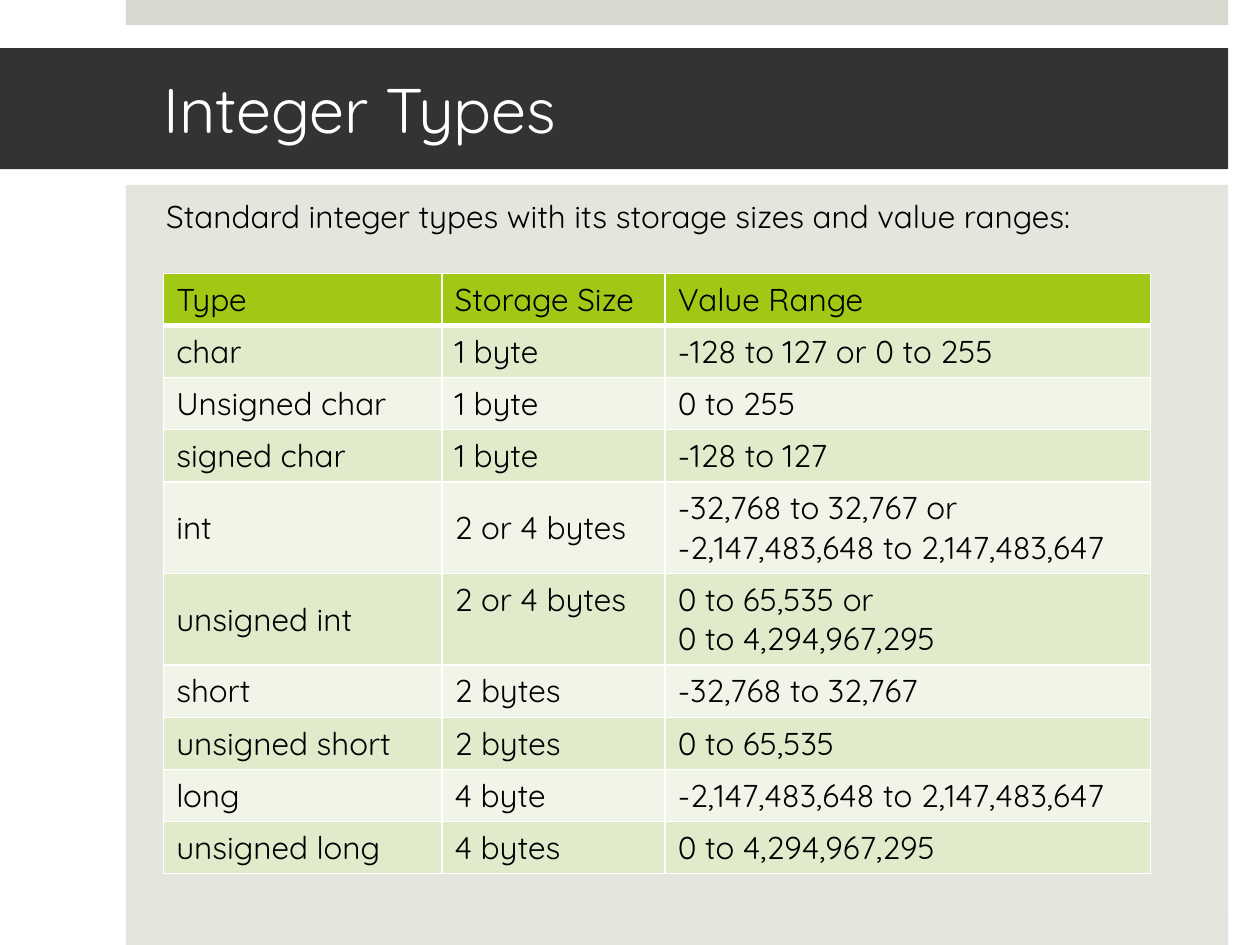
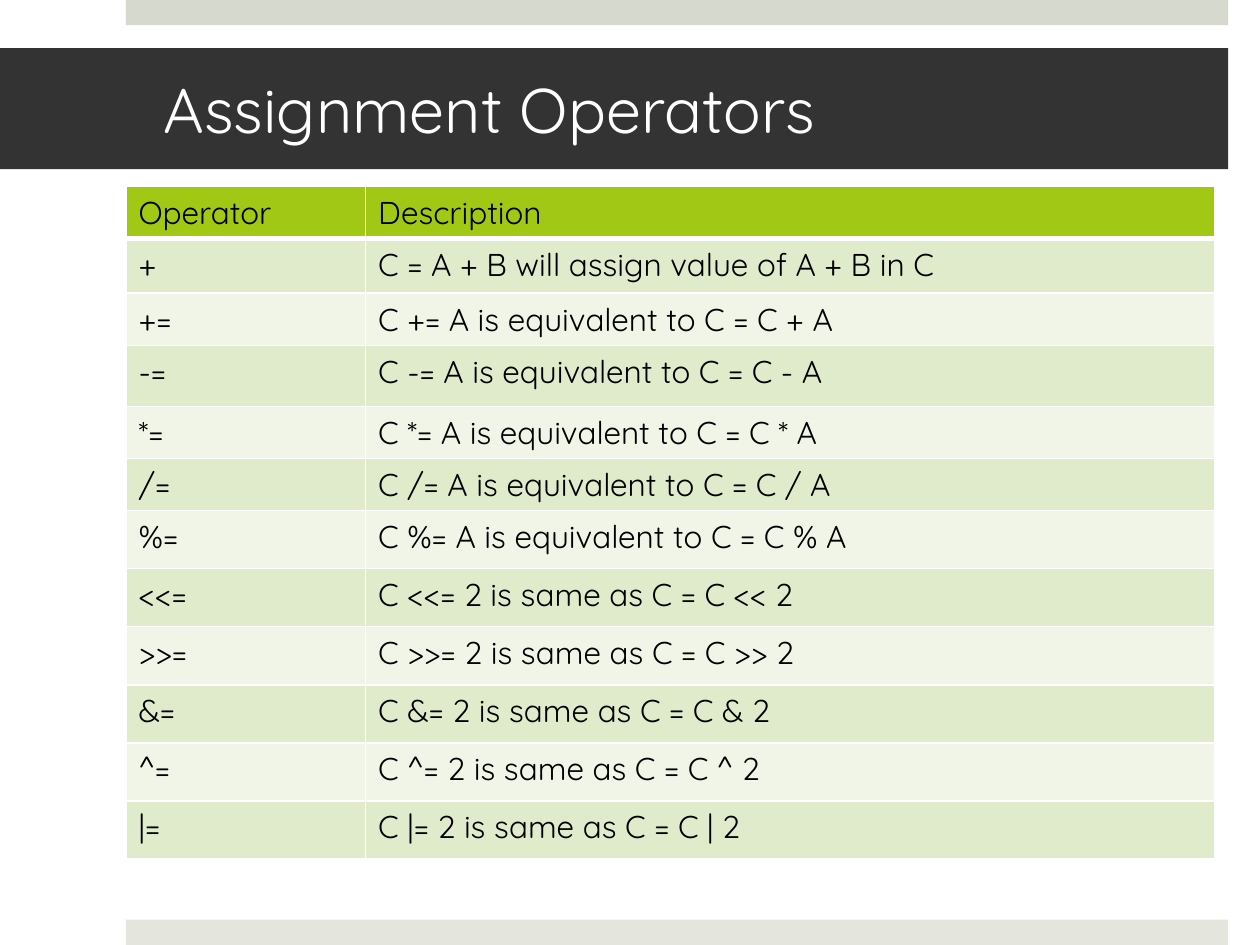
from dataclasses import dataclass

from lxml import etree
from pptx import Presentation
from pptx import util as u
from pptx.dml.color import RGBColor
from pptx.enum import shapes, text
from pptx.oxml import ns
from pptx.util import Cm, Pt

FONT = "Quicksand"
COLORS = {
    "top_band": "D6D9CD",
    "panel": "E4E6DE",
    "title_band": "333333",
    "header": "A2C816",
    "odd_row": "E0EBCC",
    "even_row": "F0F5E8",
    "white": "FFFFFF",
    "black": "000000",
}


@dataclass(frozen=True)
class Box:
    """A rectangle measured in centimetres."""
    left: float
    top: float
    width: float
    height: float

    def lengths(self) -> tuple[u.Length, ...]:
        return Cm(self.left), Cm(self.top), Cm(self.width), Cm(self.height)


@dataclass(frozen=True)
class TableData:
    left: float
    top: float
    column_widths: list[float]
    row_heights: list[float]
    rows: list[tuple[str, ...]]


SLIDE_WIDTH, SLIDE_HEIGHT = 25.4, 19.05
TOP_BAND = Box(2.54, 0, 22.22, 0.51)
BOTTOM_BAND = Box(2.54, 18.54, 22.22, 0.51)
TITLE_BAND = Box(0, 0.97, 24.76, 2.44)
INTRO_PANEL = Box(2.54, 3.73, 22.22, 15.32)

LINE_ROW, DOUBLE_ROW, TALL_ROW = 1.05, 1.84, 1.17

INTEGER_TYPES = TableData(
    3.3, 5.51, [5.61, 4.5, 9.78],
    [LINE_ROW] * 4 + [DOUBLE_ROW] * 2 + [LINE_ROW] * 4,
    [
        ("Type", "Storage Size", "Value Range"),
        ("char", "1 byte", "-128 to 127 or 0 to 255"),
        ("Unsigned char", "1 byte", "0 to 255"),
        ("signed char", "1 byte", "-128 to 127"),
        ("int", "2 or 4 bytes", "-32,768 to 32,767 or -2,147,483,648 to 2,147,483,647"),
        ("unsigned int", "2 or 4 bytes", "0 to 65,535 or\n0 to 4,294,967,295"),
        ("short", "2 bytes", "-32,768 to 32,767"),
        ("unsigned short", "2 bytes", "0 to 65,535"),
        ("long", "4 byte", "-2,147,483,648 to 2,147,483,647"),
        ("unsigned long", "4 bytes", "0 to 4,294,967,295"),
    ],
)
UNSIGNED_INT_SIZE = (5, 1)

ASSIGNMENT_OPERATORS = TableData(
    2.54, 3.76, [4.83, 17.12],
    [LINE_ROW, 1.1, LINE_ROW, 1.23, LINE_ROW, LINE_ROW] + [TALL_ROW] * 6,
    [("Operator", "Description"), ("+", "C = A + B will assign value of A + B in C")]
    + [(f"{sign}=", f"C {sign}= A is equivalent to C = C {sign} A") for sign in "+-*/%"]
    + [(f"{sign}=", f"C {sign}= 2 is same as C = C {sign} 2")
       for sign in ("<<", ">>", "&", "^", "|")],
)


def color(name: str) -> RGBColor:
    return RGBColor.from_string(COLORS[name])


def format_text(frame, size: int, color_name: str) -> None:
    for paragraph in frame.paragraphs:
        paragraph.alignment = text.PP_ALIGN.LEFT
        font = paragraph.font
        font.name, font.size, font.bold = FONT, Pt(size), False
        font.color.rgb = color(color_name)


def set_insets(frame, left: float, right: float, vertical: float) -> None:
    frame.margin_left, frame.margin_right = Cm(left), Cm(right)
    frame.margin_top = frame.margin_bottom = Cm(vertical)
    frame.word_wrap = True
    frame.auto_size = text.MSO_AUTO_SIZE.NONE


def add_band(slide, box: Box, color_name: str):
    band = slide.shapes.add_shape(shapes.MSO_SHAPE.RECTANGLE, *box.lengths())
    band.shadow.inherit = False
    band.fill.solid()
    band.fill.fore_color.rgb = color(color_name)
    band.line.fill.background()
    return band


def add_titled_slide(presentation, title_text: str):
    slide = presentation.slides.add_slide(presentation.slide_layouts[5])
    add_band(slide, TOP_BAND, "top_band")
    add_band(slide, BOTTOM_BAND, "panel")
    title = slide.shapes.title
    title.left, title.top, title.width, title.height = TITLE_BAND.lengths()
    title.fill.solid()
    title.fill.fore_color.rgb = color("title_band")
    frame = title.text_frame
    frame.text = title_text
    frame.vertical_anchor = text.MSO_ANCHOR.MIDDLE
    set_insets(frame, 3.3, 0.76, 0.13)
    format_text(frame, 36, "white")
    return slide


def add_intro(slide, intro_text: str) -> None:
    frame = add_band(slide, INTRO_PANEL, "panel").text_frame
    frame.text = intro_text
    frame.vertical_anchor = text.MSO_ANCHOR.TOP
    set_insets(frame, 0.81, 0.76, 0.25)
    format_text(frame, 18, "black")


def set_borders(cell, bottom_points: int) -> None:
    """Give a cell white borders; call before filling it."""
    properties = cell._tc.get_or_add_tcPr()
    for side, points in (("L", 1), ("R", 1), ("T", 1), ("B", bottom_points)):
        line = etree.SubElement(properties, ns.qn(f"a:ln{side}"), w=str(Pt(points)))
        fill = etree.SubElement(line, ns.qn("a:solidFill"))
        etree.SubElement(fill, ns.qn("a:srgbClr"), val=COLORS["white"])


def add_data_table(slide, data: TableData, anchor: text.MSO_ANCHOR):
    box = Box(data.left, data.top, sum(data.column_widths), sum(data.row_heights))
    table = slide.shapes.add_table(
        len(data.rows), len(data.column_widths), *box.lengths()).table
    table.first_row = table.horz_banding = False
    for column, width in zip(table.columns, data.column_widths):
        column.width = Cm(width)
    for row_index, (row, height) in enumerate(zip(table.rows, data.row_heights)):
        row.height = Cm(height)
        is_header = row_index == 0
        row_color = "header" if is_header else "odd_row" if row_index % 2 else "even_row"
        for cell, value in zip(row.cells, data.rows[row_index]):
            cell.text = value
            cell.vertical_anchor = text.MSO_ANCHOR.TOP if is_header else anchor
            format_text(cell.text_frame, 18, "black")
            set_borders(cell, 3 if is_header else 1)
            cell.fill.solid()
            cell.fill.fore_color.rgb = color(row_color)
    return table


def main() -> None:
    presentation = Presentation()
    presentation.slide_width, presentation.slide_height = Cm(SLIDE_WIDTH), Cm(SLIDE_HEIGHT)

    slide = add_titled_slide(presentation, "Integer Types")
    add_intro(slide, "Standard integer types with its storage sizes and value ranges:")
    table = add_data_table(slide, INTEGER_TYPES, text.MSO_ANCHOR.MIDDLE)
    table.cell(*UNSIGNED_INT_SIZE).vertical_anchor = text.MSO_ANCHOR.TOP

    slide = add_titled_slide(presentation, "Assignment Operators")
    add_data_table(slide, ASSIGNMENT_OPERATORS, text.MSO_ANCHOR.TOP)

    presentation.save("out.pptx")


if __name__ == "__main__":
    main()
